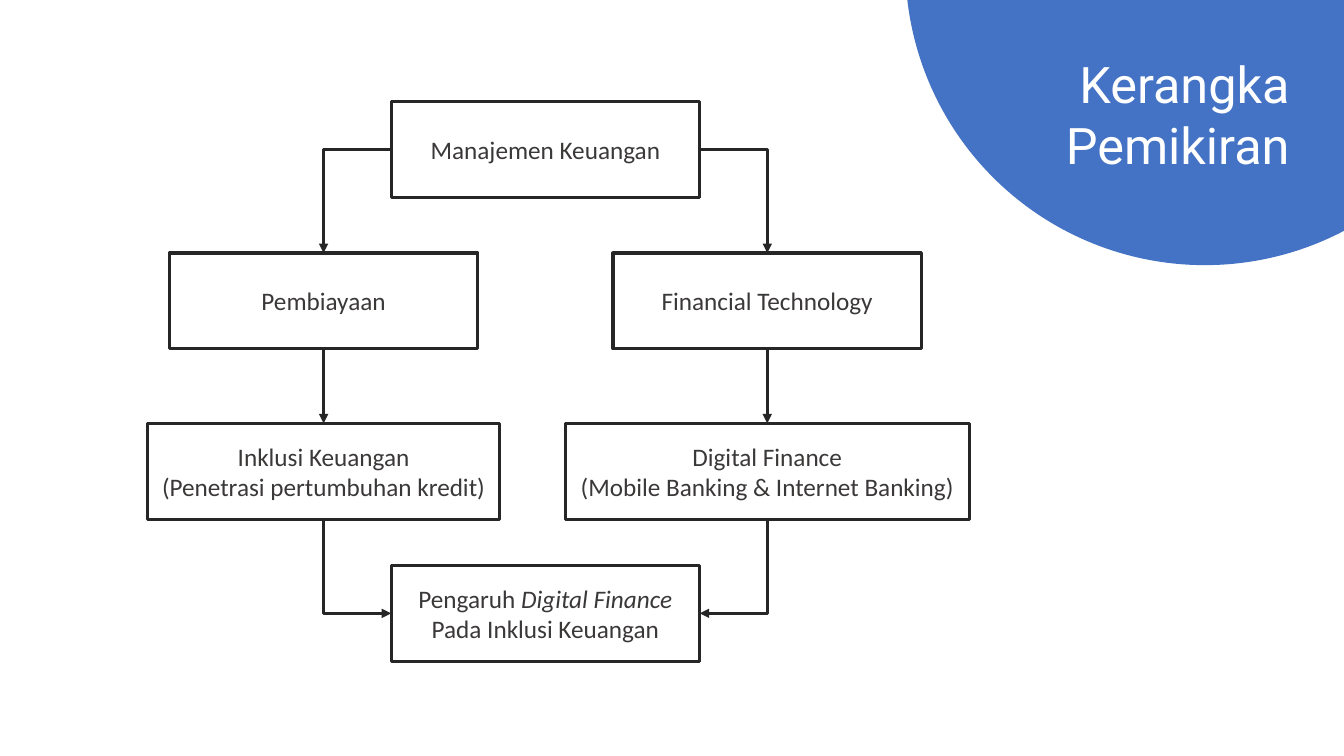
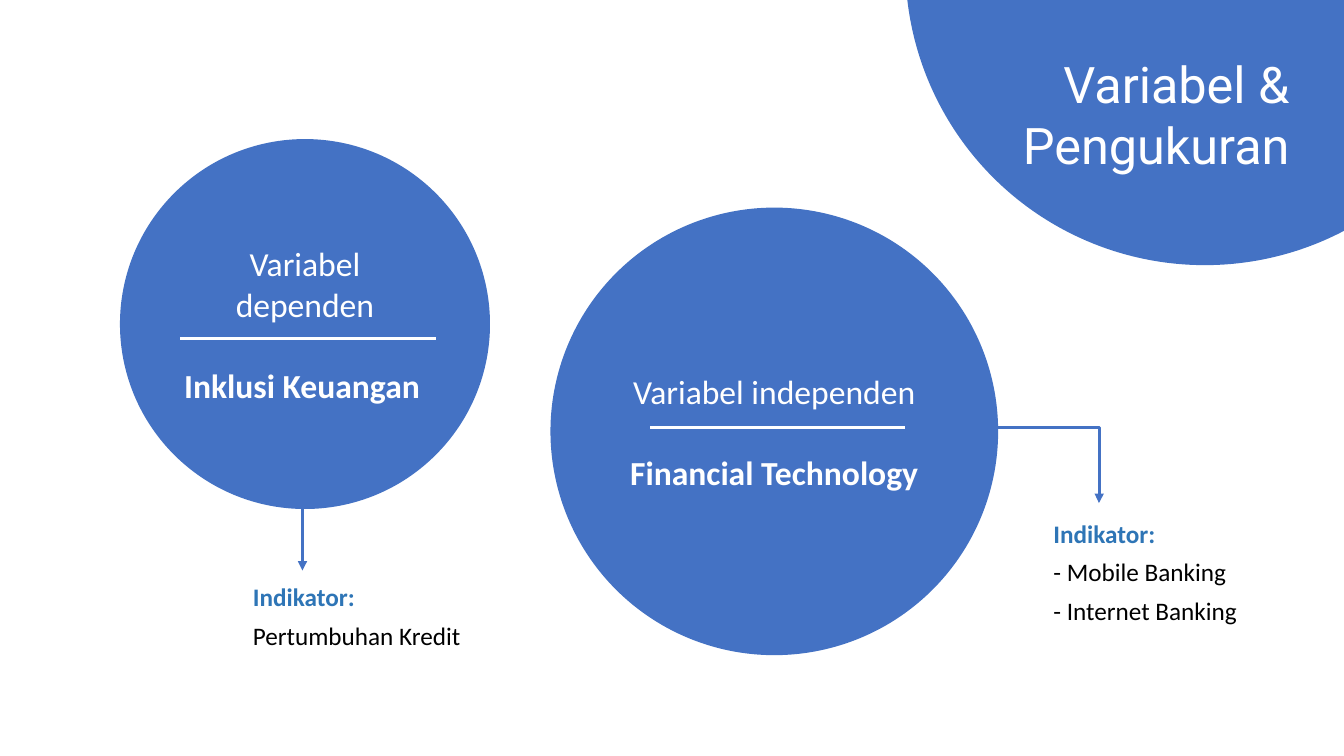
from pptx import Presentation
from pptx.dml.color import RGBColor
from pptx.enum.shapes import MSO_CONNECTOR as Cxn, MSO_SHAPE as Shp
from pptx.enum.text import MSO_ANCHOR as Anchor, PP_ALIGN as Al
from pptx.oxml.ns import qn
from pptx.util import Inches, Pt
from lxml.etree import SubElement

rgb = RGBColor.from_string
BLUE, WHITE, DARK, GREY = "4472C4", "FFFFFF", "262626", "3B3838"
ACCENT, BLACK = "2E75B6", "000000"


def write(frame, paras, size, align, font="Calibri", after=0):
    """Fill a frame; each paragraph is a list of (text, colour, style) runs."""
    for i, runs in enumerate(paras):
        para = frame.paragraphs[0] if i == 0 else frame.add_paragraph()
        para.alignment = align
        para.space_after = Pt(after)
        for text, color, style in runs:
            run = para.add_run()
            run.text = text
            run.font.name = font
            run.font.size = Pt(size)
            run.font.color.rgb = rgb(color)
            run.font.bold = style == "b"
            run.font.italic = style == "i"


def link(slide, kind, ends, color, arrow=None):
    """Draw a line; arrow is headEnd (at the start) or tailEnd (at the end)."""
    line = slide.shapes.add_connector(kind, *[Inches(v) for v in ends])
    line.line.color.rgb = rgb(color)
    line.line.width = Pt(2.25)
    props = line.element.spPr
    if arrow:
        SubElement(props.find(qn("a:ln")), qn("a:" + arrow), type="triangle")
    SubElement(props, qn("a:effectLst"))
    return line


prs = Presentation()
prs.slide_width, prs.slide_height = Inches(13.33), Inches(7.5)

# Shared corner disc and title
slides = []
for title in (["Kerangka", "Pemikiran"], ["Variabel &", "Pengukuran"]):
    slide = prs.slides.add_slide(prs.slide_layouts[6])
    disc = slide.shapes.add_shape(
        Shp.OVAL, Inches(8.98), Inches(-3.31), Inches(5.94), Inches(5.94))
    disc.shadow.inherit = False
    disc.fill.solid()
    disc.fill.fore_color.rgb = rgb(BLUE)
    disc.line.fill.background()
    box = slide.shapes.add_textbox(
        Inches(9.11), Inches(0.48), Inches(3.78), Inches(1.31))
    box.text_frame.word_wrap = True
    write(box.text_frame, [[(t, WHITE, "")] for t in title], 36, Al.RIGHT, "Roboto")
    slides.append(slide)
flow, facts = slides

# Slide 1: boxes, placed by centre, top and width
LEFT, MID, RIGHT = 3.21, 5.41, 7.61
boxes = {}
for name, mid, top, wide, lines in (
    ("root", MID, 1.01, 3.06, [[("Manajemen Keuangan", "")]]),
    ("fund", LEFT, 2.51, 3.06, [[("Pembiayaan", "")]]),
    ("tech", RIGHT, 2.51, 3.06, [[("Financial Technology", "")]]),
    ("reach", LEFT, 4.2, 3.49, [[("Inklusi Keuangan", "")],
                                [("(Penetrasi pertumbuhan kredit)", "")]]),
    ("digit", RIGHT, 4.2, 4.01, [[("Digital Finance", "")],
                                 [("(Mobile Banking & Internet Banking)", "")]]),
    ("goal", MID, 5.61, 3.06, [[("Pengaruh ", ""), ("Digital Finance", "i")],
                               [("Pada Inklusi Keuangan", "")]]),
):
    box = flow.shapes.add_shape(
        Shp.RECTANGLE, Inches(mid - wide / 2), Inches(top), Inches(wide), Inches(0.95))
    box.shadow.inherit = False
    box.fill.background()
    box.line.color.rgb = rgb(DARK)
    box.line.width = Pt(2.25)
    box.text_frame.word_wrap = True
    box.text_frame.vertical_anchor = Anchor.MIDDLE
    write(box.text_frame, [[(t, GREY, s) for t, s in runs] for runs in lines],
          18, Al.CENTER)
    boxes[name] = box

# Slide 1: arrows, each bend running sideways first
for start, side, end, stop, arrow in (
    ("root", 1, "fund", 0, "tailEnd"),
    ("root", 3, "tech", 0, "tailEnd"),
    ("fund", 2, "reach", 0, "tailEnd"),
    ("tech", 2, "digit", 0, "tailEnd"),
    ("goal", 1, "reach", 2, "headEnd"),
    ("goal", 3, "digit", 2, "headEnd"),
):
    bent = side != 2
    line = link(flow, Cxn.ELBOW if bent else Cxn.STRAIGHT, (0, 0, 1, 1), DARK, arrow)
    line.begin_connect(boxes[start], side)
    line.end_connect(boxes[end], stop)
    if bent:
        line.element.spPr.find(qn("a:prstGeom")).set("prst", "bentConnector2")

# Slide 2: variable circles, each with a rule between its two texts
for left, top, size, kind, name, align, rule, level in (
    (1.19, 1.38, 3.67, "Variabel dependen", "Inklusi Keuangan", Al.LEFT, 1.79, 3.36),
    (5.46, 2.06, 4.44, "Variabel independen", "Financial Technology", Al.CENTER,
     6.45, 4.24),
):
    disc = facts.shapes.add_shape(
        Shp.OVAL, Inches(left), Inches(top), Inches(size), Inches(size))
    disc.shadow.inherit = False
    disc.fill.solid()
    disc.fill.fore_color.rgb = rgb(BLUE)
    disc.line.fill.background()
    frame = disc.text_frame
    frame.word_wrap = True
    frame.vertical_anchor = Anchor.MIDDLE
    write(frame, [[(kind, WHITE, "")], [(name, WHITE, "b")]], 24, Al.CENTER)
    frame.paragraphs[1].alignment = align
    frame.paragraphs[1].space_before = Pt(29)
    link(facts, Cxn.STRAIGHT, (rule, level, rule + 2.53, level), WHITE)

# Slide 2: arrows to the indicators
link(facts, Cxn.STRAIGHT, (3, 5.05, 3, 5.66), BLUE, "tailEnd")
bend = link(facts, Cxn.ELBOW, (9.9, 4.24, 10.9, 4.99), BLUE, "tailEnd")
bend.element.spPr.find(qn("a:prstGeom")).find(qn("a:avLst")).append(
    bend.element.makeelement(qn("a:gd"), {"name": "adj1", "fmla": "val 100200"}))

# Slide 2: indicators
for left, top, wide, high, items in (
    (2.41, 5.72, 2.28, 0.79, ["Pertumbuhan Kredit"]),
    (10.35, 5.09, 2.04, 1.18, ["- Mobile Banking", "- Internet Banking"]),
):
    box = facts.shapes.add_textbox(
        Inches(left), Inches(top), Inches(wide), Inches(high))
    box.text_frame.word_wrap = False
    write(box.text_frame,
          [[("Indikator:", ACCENT, "b")]] + [[(t, BLACK, "")] for t in items],
          18, Al.LEFT, after=6)

prs.save("out.pptx")
